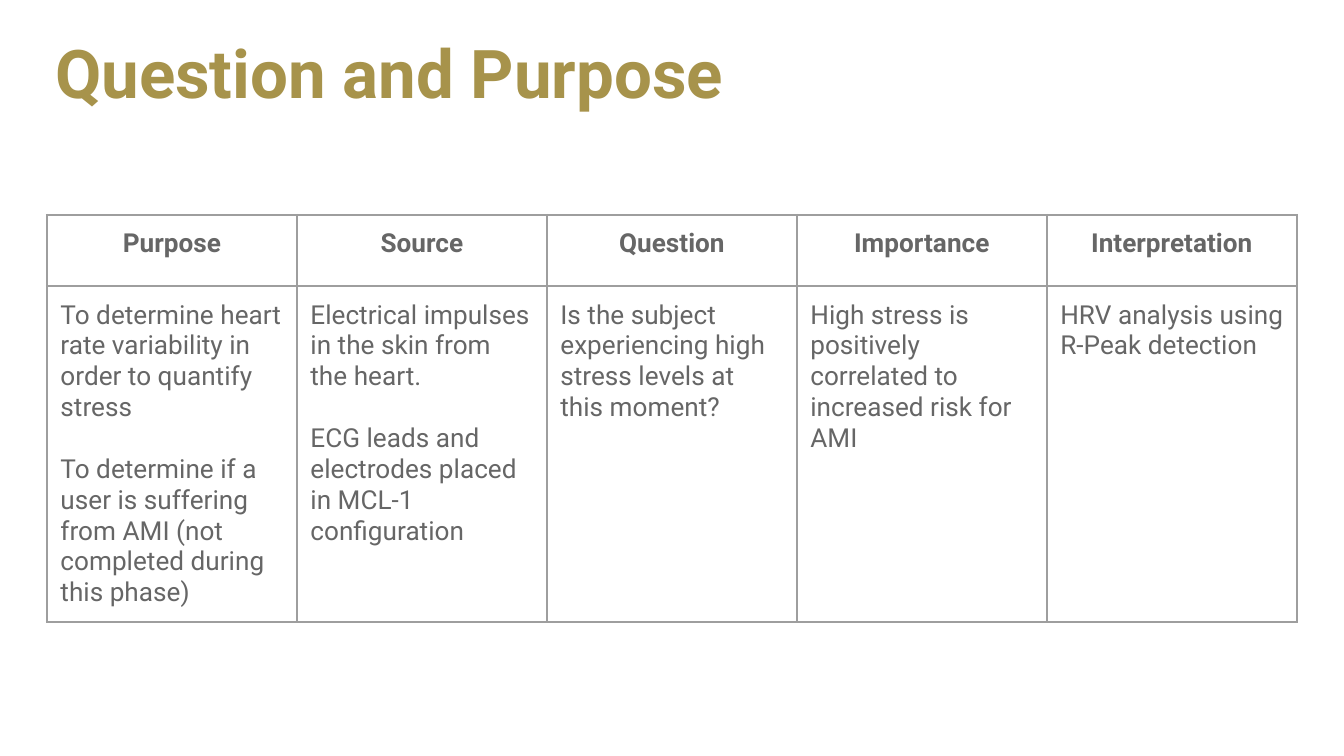
import pptx
import pptx.dml.color
import pptx.enum.text
import pptx.oxml
import pptx.oxml.ns
import pptx.util
from pptx.util import Inches

GOLD = pptx.dml.color.RGBColor(0xA7, 0x93, 0x4B)
TEXT_GRAY = pptx.dml.color.RGBColor(0x66, 0x66, 0x66)
BORDER_GRAY = pptx.dml.color.RGBColor(0x9E, 0x9E, 0x9E)

COLUMNS = [
    ("Purpose", [
        "To determine heart rate variability in order to quantify stress",
        "To determine if a user is suffering from AMI (not completed during this phase)",
    ]),
    ("Source", [
        "Electrical impulses in the skin from the heart.",
        "ECG leads and electrodes placed in MCL-1 configuration",
    ]),
    ("Question", ["Is the subject experiencing high stress levels at this moment?"]),
    ("Importance", ["High stress is positively correlated to increased risk for AMI"]),
    ("Interpretation", ["HRV analysis using R-Peak detection"]),
]


class SlideBuilder:
    font_name = "Roboto"
    title_size = 36
    table_size = 14
    paragraph_gap = 16.4
    border_width = 1.5
    cell_margin = Inches(0.1)

    def __init__(self, slide):
        self.slide = slide

    def format_paragraph(self, paragraph, size, color, bold, alignment):
        paragraph.alignment = alignment
        for run in paragraph.runs:
            run.font.name = self.font_name
            run.font.size = pptx.util.Pt(size)
            run.font.bold = bold
            run.font.color.rgb = color

    def add_title(self, text, left, top, width, height):
        title = self.slide.shapes.title
        title.left, title.top, title.width, title.height = left, top, width, height
        text_frame = title.text_frame
        text_frame.text = text
        text_frame.auto_size = pptx.enum.text.MSO_AUTO_SIZE.NONE
        text_frame.vertical_anchor = pptx.enum.text.MSO_ANCHOR.MIDDLE
        paragraph = text_frame.paragraphs[0]
        paragraph.line_spacing = 0.9
        self.format_paragraph(paragraph, self.title_size, GOLD, True,
                              pptx.enum.text.PP_ALIGN.LEFT)

    def add_borders(self, cell):
        properties = cell._tc.get_or_add_tcPr()
        for side in ("lnL", "lnR", "lnT", "lnB"):
            properties.append(pptx.oxml.parse_xml(
                f'<a:{side} {pptx.oxml.ns.nsdecls("a")} w="{pptx.util.Pt(self.border_width)}">'
                f'<a:solidFill><a:srgbClr val="{BORDER_GRAY}"/></a:solidFill>'
                f'</a:{side}>'))

    def fill_cell(self, cell, texts, bold, alignment):
        self.add_borders(cell)
        cell.fill.background()
        cell.margin_left = cell.margin_right = self.cell_margin
        cell.margin_top = cell.margin_bottom = self.cell_margin
        cell.vertical_anchor = pptx.enum.text.MSO_ANCHOR.TOP
        cell.text_frame.text = "\n".join(texts)
        for index, paragraph in enumerate(cell.text_frame.paragraphs):
            if index:
                paragraph.space_before = pptx.util.Pt(self.paragraph_gap)
            self.format_paragraph(paragraph, self.table_size, TEXT_GRAY, bold, alignment)

    def add_table(self, columns, left, top, column_width, row_heights):
        shape = self.slide.shapes.add_table(
            len(row_heights), len(columns), left, top,
            column_width * len(columns), sum(row_heights))
        table = shape.table
        table.first_row = False
        table.horz_banding = False
        for row, height in zip(table.rows, row_heights):
            row.height = height
        for index, (heading, texts) in enumerate(columns):
            table.columns[index].width = column_width
            self.fill_cell(table.cell(0, index), [heading], True,
                           pptx.enum.text.PP_ALIGN.CENTER)
            self.fill_cell(table.cell(1, index), texts, False,
                           pptx.enum.text.PP_ALIGN.LEFT)


def main():
    presentation = pptx.Presentation()
    presentation.slide_width = Inches(10)
    presentation.slide_height = presentation.slide_width * 9 // 16
    slide = presentation.slides.add_slide(presentation.slide_layouts.get_by_name("Title Only"))
    builder = SlideBuilder(slide)
    builder.add_title("Question and Purpose",
                      Inches(0.31), Inches(0.16), Inches(9.38), Inches(0.83))
    builder.add_table(COLUMNS, Inches(0.35), Inches(1.6), Inches(1.86),
                      [Inches(0.53), Inches(2.5)])
    presentation.save("out.pptx")


if __name__ == "__main__":
    main()
